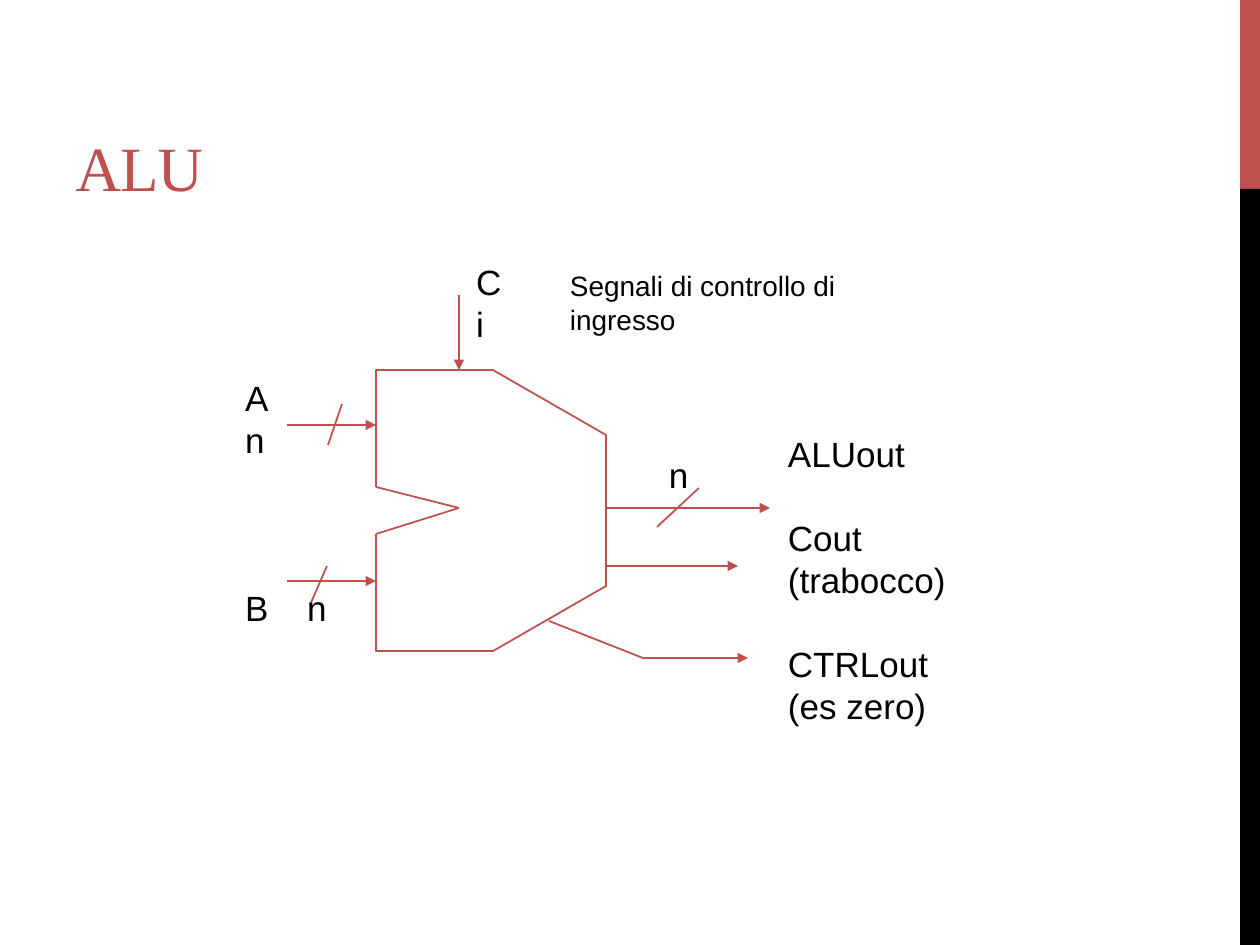
from lxml import etree
from pptx import Presentation
from pptx import util as u
from pptx.dml.color import RGBColor
from pptx.enum import shapes, text
from pptx.oxml.ns import qn

PX = 914400 / 126
RED, BLACK = "C0504D", "000000"


def px(length):
    return u.Emu(round(length * PX))


def color(value):
    return RGBColor.from_string(value)


def add_span(para, words, size, font="Arial", ink=BLACK):
    span = para.add_run()
    span.text = words
    span.font.size = u.Pt(size)
    span.font.name = font
    span.font.color.rgb = color(ink)
    return span


def style_line(item, arrow=False):
    """Give a thin red stroke without shadow, with an optional arrowhead."""
    item.line.color.rgb = color(RED)
    item.line.width = u.Pt(1)
    if arrow:
        etree.SubElement(item.line._get_or_add_ln(), qn("a:tailEnd"), type="triangle")
    properties = item._element.spPr
    if properties.find(qn("a:effectLst")) is None:
        etree.SubElement(properties, qn("a:effectLst"))


def add_line(page, left, top, start, end, arrow=False):
    line = page.shapes.add_connector(
        shapes.MSO_CONNECTOR.STRAIGHT,
        px(left + start[0]), px(top + start[1]), px(left + end[0]), px(top + end[1]))
    style_line(line, arrow)


def add_outline(page, left, top, points, arrow=False):
    (x, y), *rest = [(left + x, top + y) for x, y in points]
    builder = page.shapes.build_freeform(x, y, scale=PX)
    builder.add_line_segments(rest, close=False)
    outline = builder.convert_to_shape()
    outline.fill.background()
    style_line(outline, arrow)


def add_label(page, left, top, width, height, paras, size=20, leading=24):
    """Place paragraphs, each given as (words, lines of space before)."""
    box = page.shapes.add_textbox(px(left), px(top), px(width), px(height))
    frame = box.text_frame
    frame.word_wrap = True
    frame.margin_left = frame.margin_right = frame.margin_top = frame.margin_bottom = 0
    for index, (words, gap) in enumerate(paras):
        para = frame.add_paragraph() if index else frame.paragraphs[0]
        para.line_spacing = u.Pt(leading)
        para.space_before = u.Pt(gap * leading)
        add_span(para, words, size)
    return box


def add_title(page, left, top, width, height):
    title = page.shapes.title
    title.left, title.top, title.width, title.height = map(px, (left, top, width, height))
    title.text_frame.vertical_anchor = text.MSO_ANCHOR.BOTTOM
    para = title.text_frame.paragraphs[0]
    para.alignment = text.PP_ALIGN.LEFT
    span = add_span(para, "ALU", 36, "Times New Roman", RED)
    span.font._element.set("spc", "-60")


def add_side_bar(page, left, top, width, height):
    split = height // 5
    for y, tall, fill in ((top, split, RED), (top + split, height - split, BLACK)):
        bar = page.shapes.add_shape(
            shapes.MSO_SHAPE.RECTANGLE, px(left), px(y), px(width), px(tall))
        bar.shadow.inherit = False
        bar.fill.solid()
        bar.fill.fore_color.rgb = color(fill)
        bar.line.fill.background()


def add_alu_body(page, left, top, width, height):
    upper = [(0, 105), (0, 0), (117, 0), (width, 65), (width, 118)]
    lower = [(x, height - y) for x, y in upper]
    add_outline(page, left, top, upper)
    add_outline(page, left, top, lower)
    notch = (83, 138)
    for start, end in ((upper[-1], lower[-1]), ((0, 164), notch), (notch, (0, 117)),
                       ((0, 263), (0, 164)), ((0, 117), (0, 99))):
        add_line(page, left, top, start, end)


def add_inputs(page, left, top, width):
    """Draw operands A and B, ending at the left edge of the ALU."""
    for y in (55, 211):
        add_line(page, left, top, (42, y), (width, y), arrow=True)
    add_line(page, left, top, (83, 75), (97, 34))
    add_line(page, left, top, (65, 235), (82, 196))
    label = add_label(page, left, top + 6, 84, 252, [("A", 0), ("B\tn", 3)])
    first, last = label.text_frame.paragraphs
    first.add_line_break()
    add_span(first, "n", 20)
    tabs = etree.SubElement(last._p.get_or_add_pPr(), qn("a:tabLst"))
    etree.SubElement(tabs, qn("a:tab"), pos=str(px(62)), algn="l")


def add_control(page, left, top):
    add_line(page, left, top, (0, 34), (0, 109), arrow=True)
    add_label(page, left + 17, top, 30, 84, [("Ci", 0)])
    add_label(page, left + 111, top + 7, 356, 68,
              [("Segnali di controllo di ingresso", 0)], 16, 19.5)


def add_outputs(page, left, top):
    """Draw the three results, starting at the right edge of the ALU."""
    add_line(page, left, top, (0, 76), (164, 76), arrow=True)
    add_line(page, left, top, (0, 134), (132, 134), arrow=True)
    add_line(page, left, top, (51, 95), (93, 56))
    add_outline(page, left, top, [(-57, 189), (37, 226), (142, 226)], arrow=True)
    add_label(page, left + 63, top + 21, 24, 42, [("n", 0)])
    add_label(page, left + 182, top, 226, 294,
              [("ALUout", 0), ("Cout (trabocco)", 1), ("CTRLout", 1), ("(es zero)", 0)])


def main():
    deck = Presentation()
    deck.slide_width, deck.slide_height = px(1260), px(945)
    page = deck.slides.add_slide(deck.slide_layouts[5])
    add_side_bar(page, 1240, 0, 20, 945)
    add_title(page, 63, 21, 798, 189)
    add_alu_body(page, 376, 370, 230, 281)
    add_inputs(page, 245, 370, 131)
    add_outputs(page, 606, 432)
    add_control(page, 459, 261)
    deck.save("out.pptx")


if __name__ == "__main__":
    main()
